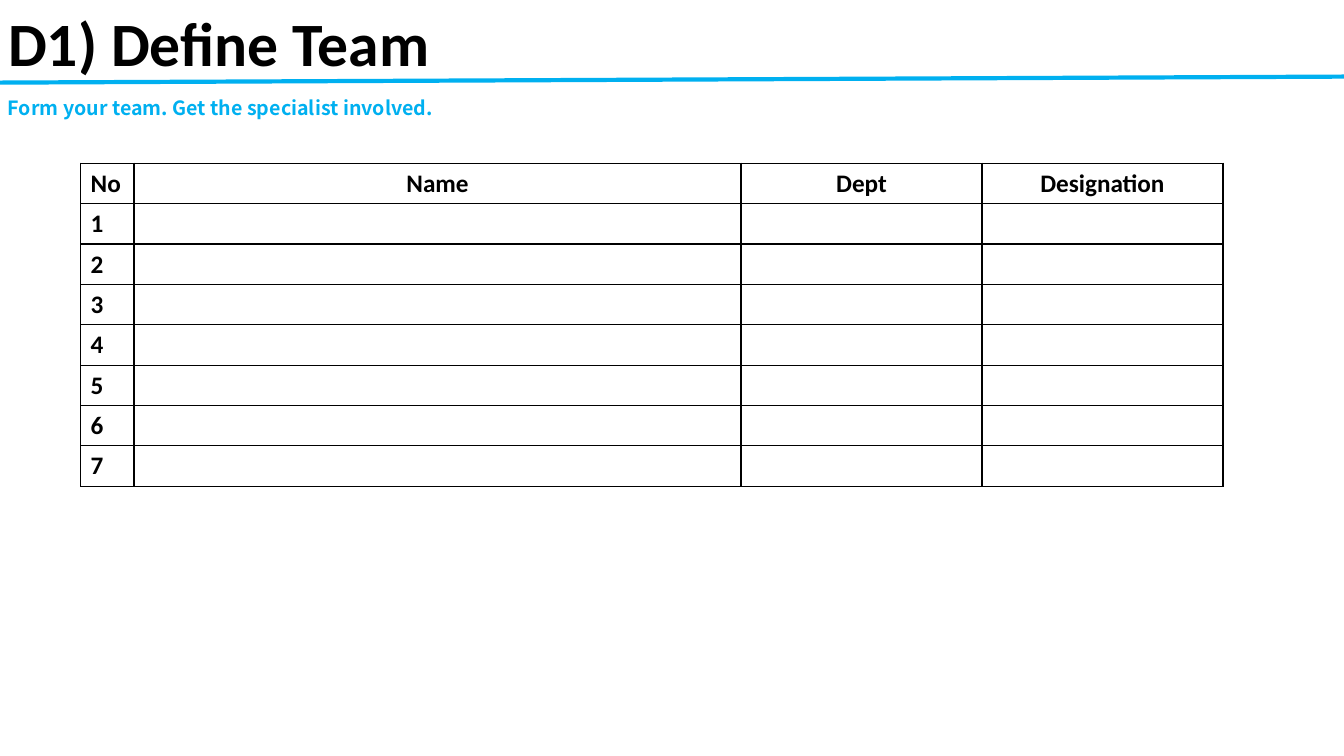
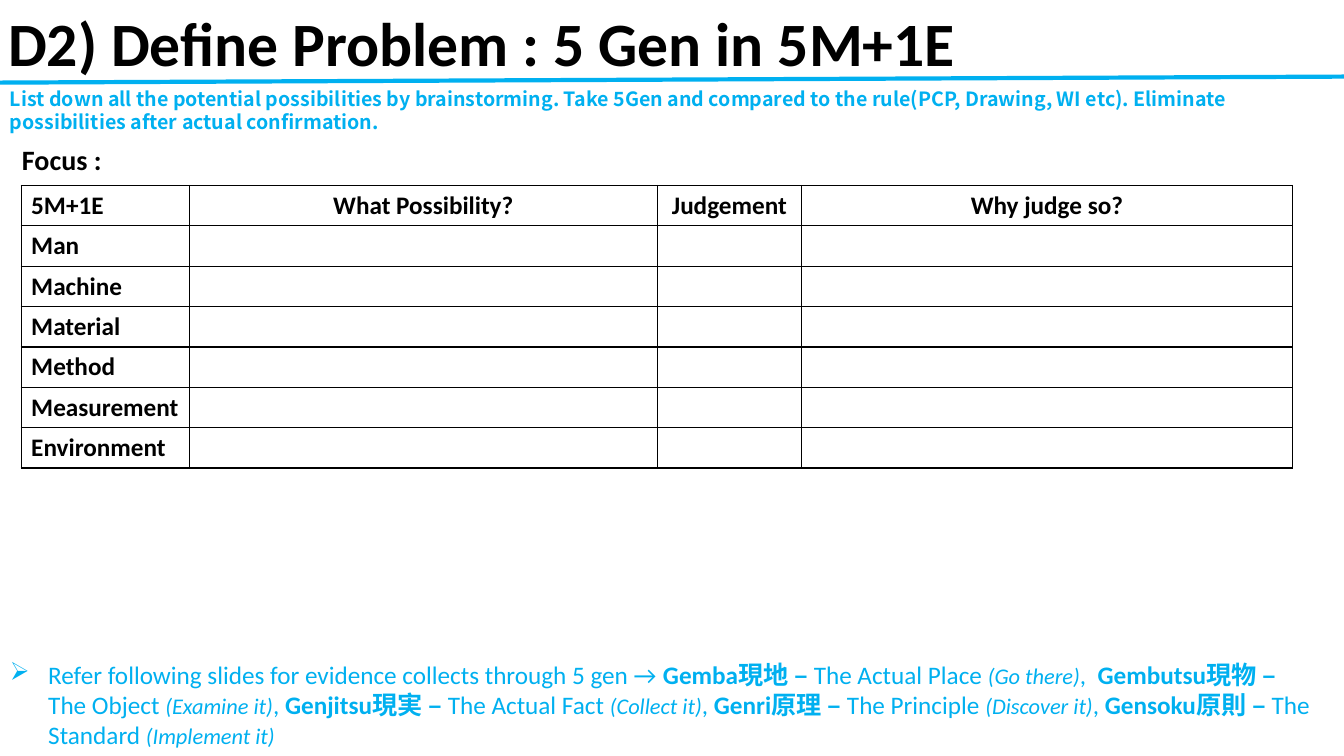
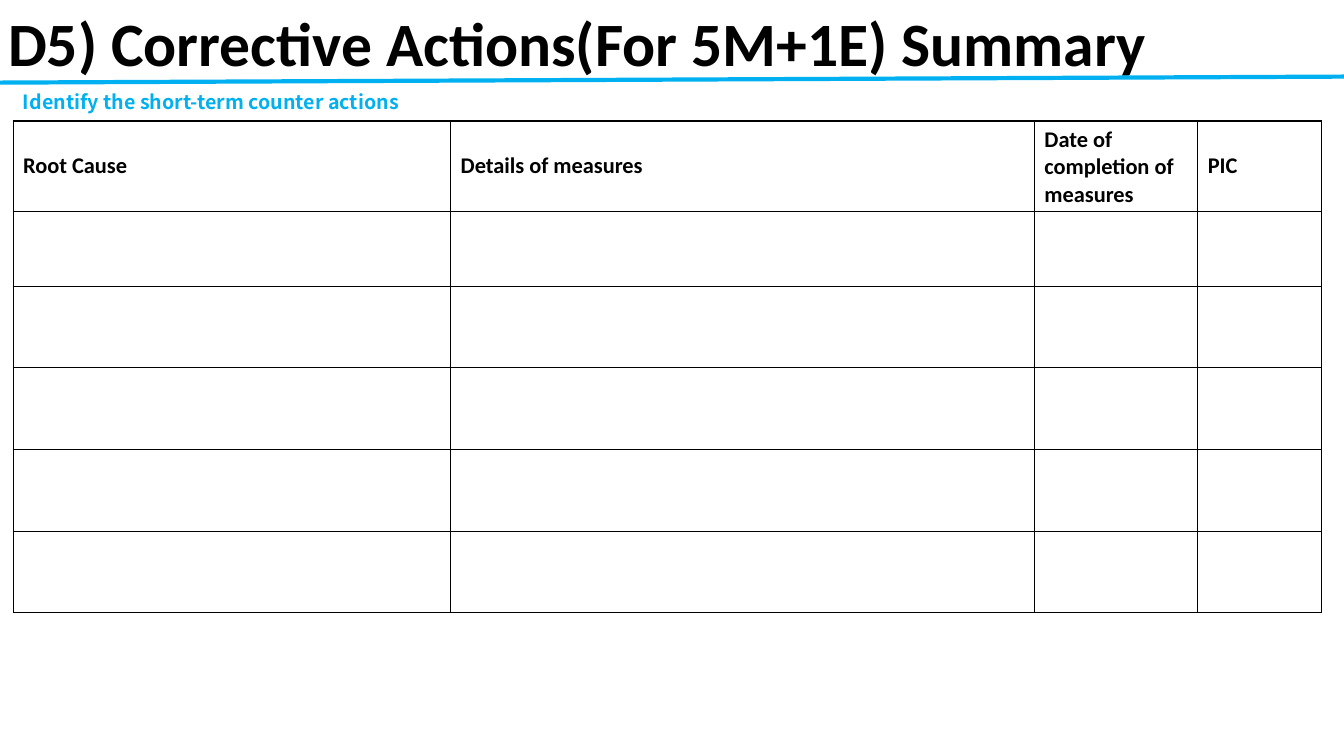
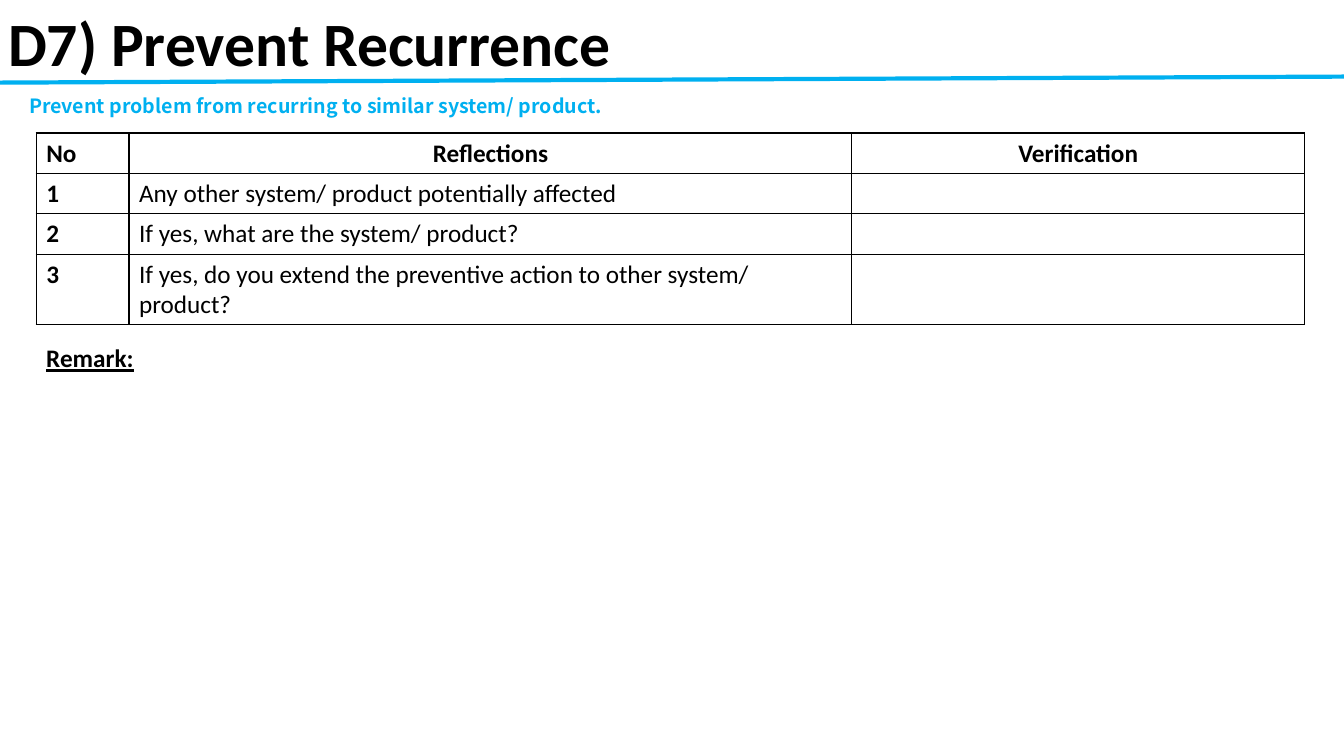
from pptx import Presentation
from pptx.dml.color import RGBColor
from pptx.enum.shapes import MSO_CONNECTOR
from pptx.enum.text import MSO_ANCHOR, MSO_AUTO_SIZE, PP_ALIGN
from pptx.oxml.ns import qn
from pptx.util import Pt
from lxml.etree import SubElement

PX = 9144  # EMU per px, 100 px to the inch
BLACK = RGBColor(0x00, 0x00, 0x00)
BLUE = RGBColor(0x00, 0xB0, 0xF0)
SANS, CJK = "Calibri", "Noto Sans CJK JP"
TITLE_BOX = (-2, 0, 1333, 84)
RULE = (-2, 82, 1333, 76)
TITLE_ONLY = 5

# Content: one entry per slide; boxes are left, top, width, height
SLIDES = [
    {
        "title": "D1) Define Team",
        "hint": ("Form your team. Get the specialist involved.", (-2, 89, 683, 34)),
        "table": {
            "at": (80, 162), "cols": (53, 602, 239, 239), "rows": [40] * 8,
            "cells": [["No", "Name", "Dept", "Designation"]]
            + [[str(n)] for n in range(1, 8)],
        },
    },
    {
        "title": "D2) Define Problem : 5 Gen in 5M+1E",
        "hint": ("List down all the potential possibilities by brainstorming. "
                 "Take 5Gen and compared to the rule(PCP, Drawing, WI etc). "
                 "Eliminate possibilities after actual confirmation.",
                 (0, 80, 1331, 57)),
        "table": {
            "at": (21, 184), "cols": (167, 464, 143, 487), "rows": [40] * 7,
            "cells": [["5M+1E", "What Possibility?", "Judgement", "Why judge so?"],
                      ["Man"], ["Machine"], ["Material"], ["Method"],
                      ["Measurement"], ["Environment"]],
        },
        "label": ("Focus :", (12, 136, 100, 44), {"size": 20}),
    },
    {
        "title": "D5) Corrective Actions(For 5M+1E) Summary",
        "hint": ("Identify the short-term counter actions", (13, 83, 430, 34)),
        "table": {
            "at": (13, 120), "cols": (434, 579, 162, 123),
            "rows": [85, 74] + [81] * 4,
            "size": 16, "header": PP_ALIGN.LEFT, "anchor": MSO_ANCHOR.MIDDLE,
            "cells": [["Root Cause", "Details of measures",
                       "Date of completion of measures", "PIC"]],
        },
    },
    {
        "title": "D7) Prevent Recurrence",
        "hint": ("Prevent problem from recurring to similar system/ product.",
                 (19, 87, 1313, 34)),
        "table": {
            "at": (36, 132), "cols": (92, 717, 449), "rows": [40, 40, 40, 70],
            "cells": [["No", "Reflections", "Verification"],
                      ["1", "Any other system/ product potentially affected"],
                      ["2", "If yes, what are the system/ product?"],
                      ["3", "If yes, do you extend the preventive action to "
                            "other system/ product?"]],
        },
        "label": ("Remark:", (36, 335, 485, 40), {"underline": True}),
    },
]

GEN_BOX = (0, 646, 1335, 104)
GEN_INTRO = "Refer following slides for evidence collects through 5 gen → "
# Term, characters, meaning, action, separator
GENS = [
    ("Gemba", "現地", "The Actual Place", "Go there", ",  "),
    ("Gembutsu", "現物", "The Object", "Examine it", ", "),
    ("Genjitsu", "現実", "The Actual Fact", "Collect it", ", "),
    ("Genri", "原理", "The Principle", "Discover it", ", "),
    ("Gensoku", "原則", "The Standard", "Implement it", ""),
]


def emu(lengths):
    return [n * PX for n in lengths]


def add_run(p, text, size=18, color=BLACK, font=SANS, bold=True, italic=False,
            underline=False):
    r = p.add_run()
    r.text = text
    f = r.font
    f.size, f.name, f.bold, f.italic = Pt(size), font, bold, italic
    f.underline = underline
    f.color.rgb = color
    if font == CJK:
        SubElement(f._element, qn("a:ea")).set("typeface", font)


def add_box(s, box, top=5, wrap=True):
    tf = s.shapes.add_textbox(*emu(box)).text_frame
    tf.word_wrap = wrap
    tf.margin_top = top * PX
    return tf


def add_title(s, text):
    title = s.shapes.title
    title.left, title.top, title.width, title.height = emu(TITLE_BOX)
    tf = title.text_frame
    tf.auto_size = MSO_AUTO_SIZE.NONE
    tf.vertical_anchor = MSO_ANCHOR.TOP
    p = tf.paragraphs[0]
    p.alignment = PP_ALIGN.LEFT
    add_run(p, text, 44)


def add_rule(s):
    line = s.shapes.add_connector(MSO_CONNECTOR.STRAIGHT, *emu(RULE))
    line.line.color.rgb = BLUE
    line.line.width = Pt(3)
    SubElement(line._element.spPr, qn("a:effectLst"))


def add_hint(s, text, box):
    p = add_box(s, box, top=7).paragraphs[0]
    p.line_spacing = Pt(16.5)
    add_run(p, text, 14, BLUE, CJK)


def set_borders(cell):
    tc_pr = cell._tc.get_or_add_tcPr()
    for i, side in enumerate(("lnL", "lnR", "lnT", "lnB")):
        ln = SubElement(tc_pr, qn(f"a:{side}"), w=str(Pt(1)))
        fill = SubElement(ln, qn("a:solidFill"))
        SubElement(fill, qn("a:srgbClr"), val=str(BLACK))
        tc_pr.insert(i, ln)  # borders come before the fill


def add_grid(s, at, cols, rows, cells, size=18, header=PP_ALIGN.CENTER,
             anchor=MSO_ANCHOR.TOP):
    box = emu((*at, sum(cols), sum(rows)))
    table = s.shapes.add_table(len(rows), len(cols), *box).table
    table.first_row = table.horz_banding = False
    for col, width in zip(table.columns, cols):
        col.width = width * PX
    for row, height in zip(table.rows, rows):
        row.height = height * PX
    for cell in table.iter_cells():
        cell.fill.background()
        set_borders(cell)
    for i, texts in enumerate(cells):
        for j, text in enumerate(texts):
            cell = table.cell(i, j)
            cell.vertical_anchor = anchor
            p = cell.text_frame.paragraphs[0]
            p.alignment = header if i == 0 and j > 0 else PP_ALIGN.LEFT
            add_run(p, text, size, bold=i == 0 or j == 0)


def add_label(s, text, box, style):
    tf = add_box(s, box, wrap=False)
    add_run(tf.paragraphs[0], text, **style)


def add_gen_note(s):
    tf = add_box(s, GEN_BOX, top=8)
    tf.margin_right = 35 * PX
    p = tf.paragraphs[0]
    p_pr = p._p.get_or_add_pPr()
    p_pr.set("marL", str(38 * PX))
    p_pr.set("indent", str(-38 * PX))
    SubElement(p_pr, qn("a:buChar"), char="➢")
    p.line_spacing = Pt(21.5)
    add_run(p, GEN_INTRO, color=BLUE, bold=False)
    for term, kanji, meaning, action, separator in GENS:
        add_run(p, term, color=BLUE)
        add_run(p, kanji + " ", color=BLUE, font=CJK)
        add_run(p, "– ", color=BLUE)
        add_run(p, meaning + " ", color=BLUE, bold=False)
        add_run(p, f"({action})", 16, BLUE, bold=False, italic=True)
        if separator:
            add_run(p, separator, color=BLUE, bold=False)


def main():
    prs = Presentation()
    prs.slide_width, prs.slide_height = emu((1333, 750))
    for content in SLIDES:
        s = prs.slides.add_slide(prs.slide_layouts[TITLE_ONLY])
        add_title(s, content["title"])
        add_rule(s)
        add_hint(s, *content["hint"])
        add_grid(s, **content["table"])
        if "label" in content:
            add_label(s, *content["label"])
    add_gen_note(prs.slides[1])
    prs.save("out.pptx")


if __name__ == "__main__":
    main()
